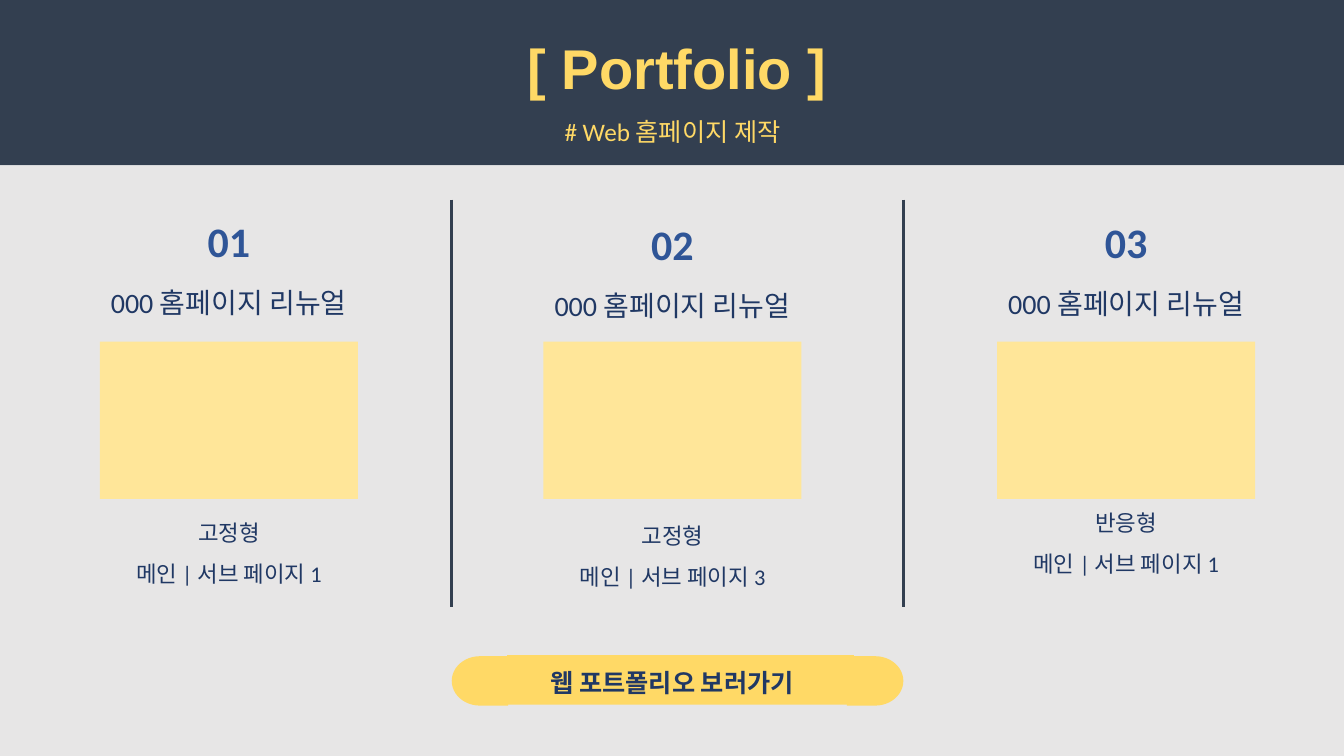
from pptx import Presentation
from pptx.dml.color import RGBColor
from pptx.enum.shapes import MSO_CONNECTOR, MSO_SHAPE
from pptx.enum.text import MSO_ANCHOR, PP_ALIGN
from pptx.oxml.ns import qn
from pptx.util import Inches, Pt
from lxml import etree

RECTANGLE = MSO_SHAPE.RECTANGLE
ROUND_END = MSO_SHAPE.FLOWCHART_DELAY
STRAIGHT = MSO_CONNECTOR.STRAIGHT
CENTER = PP_ALIGN.CENTER
TOP = MSO_ANCHOR.TOP
BOTTOM = MSO_ANCHOR.BOTTOM

COLORS = {
    "paper": "E7E6E6",
    "slate": "333F50",
    "gold": "FFD966",
    "cream": "FFE699",
    "navy": "203864",
    "blue": "2F5597",
}

PROJECTS = [
    {"number": "01", "left": 0.68, "width": 3.18, "tops": (2.09, 2.78, 5.1),
     "thumbnail": 0.99, "details": "고정형\n메인 | 서브 페이지 1"},
    {"number": "02", "left": 5.08, "width": 3.18, "tops": (2.12, 2.81, 5.13),
     "thumbnail": 5.39, "details": "고정형\n메인 | 서브 페이지 3"},
    {"number": "03", "left": 9.63, "width": 3.08, "tops": (2.1, 2.79, 5),
     "thumbnail": 9.89, "details": "반응형\n메인 | 서브 페이지 1"},
]


def color(name):
    """Return the named colour."""
    return RGBColor.from_string(COLORS[name])


def add_block(page, kind, left, top, width, height, fill, rotation=0):
    """Add a plain filled shape without outline."""
    block = page.shapes.add_shape(
        kind, Inches(left), Inches(top), Inches(width), Inches(height))
    block.shadow.inherit = False
    block.fill.solid()
    block.fill.fore_color.rgb = color(fill)
    block.line.fill.background()
    block.rotation = rotation


def add_text(page, text, left, top, width, height, size=16, fill="navy",
             font="Calibri", bold=False, anchor=TOP, spacing=None):
    """Add centred text with one paragraph per line."""
    box = page.shapes.add_textbox(
        Inches(left), Inches(top), Inches(width), Inches(height))
    frame = box.text_frame
    frame.word_wrap = True
    frame.vertical_anchor = anchor
    frame.text = text
    for index, para in enumerate(frame.paragraphs):
        para.alignment = CENTER
        para.line_spacing = spacing
        para.space_before = Pt(10 if index else 0)
        for span in para.runs:
            span.font.name = font
            span.font.size = Pt(size)
            span.font.bold = bold
            span.font.color.rgb = color(fill)


def add_divider(page, left):
    """Add a vertical line between two projects."""
    line = page.shapes.add_connector(
        STRAIGHT, Inches(left), Inches(1.98), Inches(left), Inches(6.02))
    line.line.color.rgb = color("slate")
    line.line.width = Pt(2)
    etree.SubElement(line._element.spPr, qn("a:effectLst"))


def add_header(page):
    """Add the dark band with title and subtitle."""
    add_block(page, RECTANGLE, 0, 0, 13.33, 1.64, "slate")
    add_text(page, "[ Portfolio ]", 4.48, 0.26, 4.47, 0.8, size=40, fill="gold",
             font="Arial", bold=True, anchor=BOTTOM, spacing=0.9)
    add_text(page, "# Web 홈페이지 제작", 5.23, 1.11, 2.88, 0.47,
             size=18, fill="gold")


def add_project(page, project):
    """Add one project column."""
    left, width = project["left"], project["width"]
    number_top, name_top, details_top = project["tops"]
    add_text(page, project["number"], left, number_top, width, 0.59,
             size=30, fill="blue", bold=True)
    add_text(page, "000 홈페이지 리뉴얼", left, name_top, width, 0.48, size=20)
    add_block(page, RECTANGLE, project["thumbnail"], 3.39, 2.56, 1.56, "cream")
    add_text(page, project["details"], left, details_top, width, 0.78)


def add_button(page):
    """Add the pill-shaped button."""
    add_block(page, ROUND_END, 8.4, 6.51, 0.56, 0.49, "gold")
    add_block(page, ROUND_END, 4.48, 6.51, 0.56, 0.49, "gold", rotation=180)
    add_block(page, RECTANGLE, 5.03, 6.5, 3.44, 0.49, "gold")
    add_text(page, "웹 포트폴리오 보러가기", 4.86, 6.57, 3.61, 0.33,
             size=18, bold=True)


def main():
    """Build and save the portfolio slide."""
    deck = Presentation()
    deck.slide_width = Inches(13.33)
    deck.slide_height = Inches(7.5)
    page = deck.slides.add_slide(deck.slide_layouts[6])
    add_block(page, RECTANGLE, 0, 1.64, 13.33, 5.86, "paper")
    add_header(page)
    for project in PROJECTS:
        add_project(page, project)
    for left in (4.48, 8.96):
        add_divider(page, left)
    add_button(page)
    deck.save("out.pptx")


if __name__ == "__main__":
    main()
